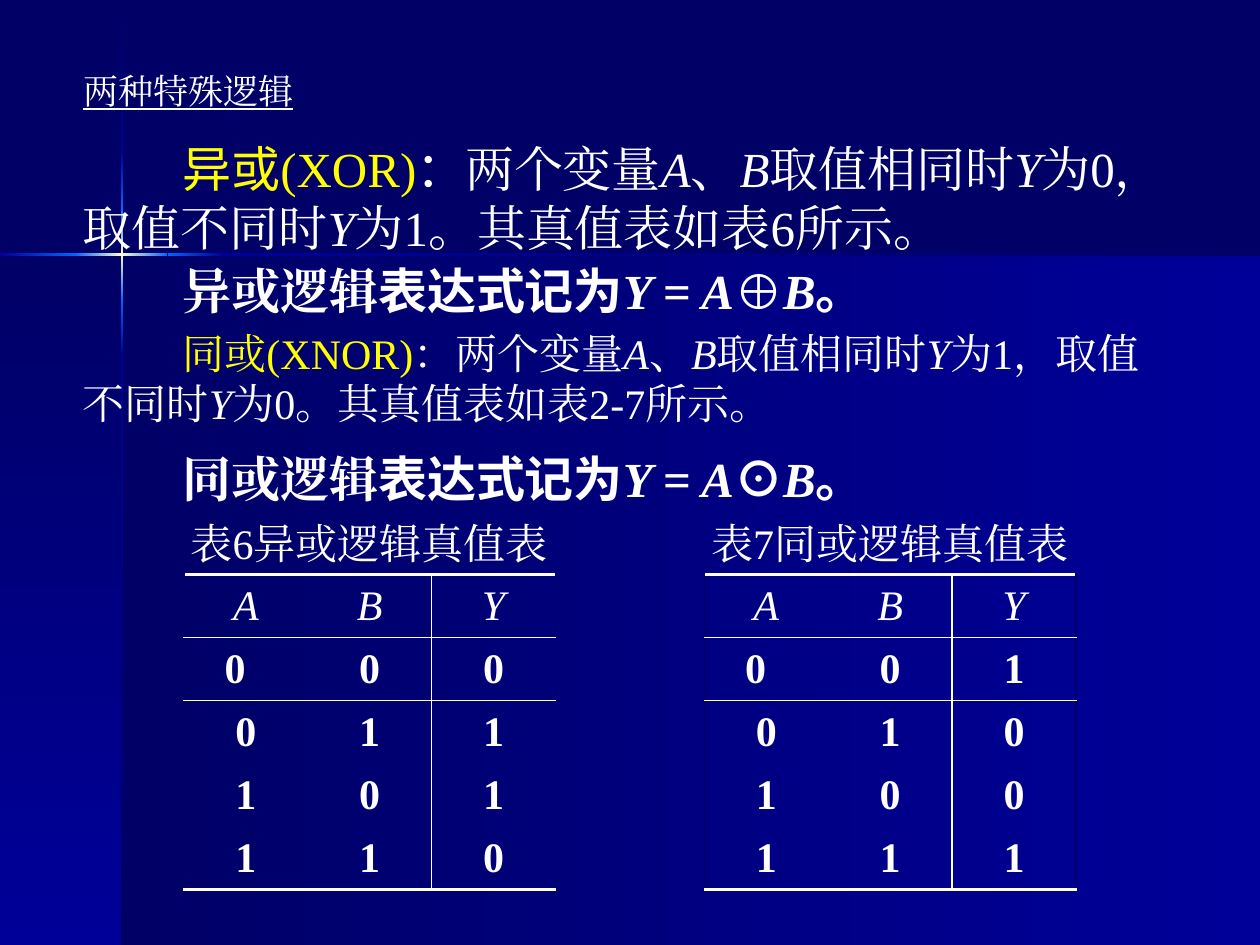
"""Builds a slide on the XOR and XNOR functions with their truth tables."""
from copy import deepcopy

from lxml import etree
from pptx import Presentation
from pptx import util as u
from pptx.dml import color
from pptx.enum import shapes, text
from pptx.oxml import ns

NAVY, BLUE, AZURE, CREAM = "000066", "000099", "0066FF", "FFFFCC"
WHITE, YELLOW = "FFFFFF", "FFFF00"
TIMES, COMIC, NOTO = "Times New Roman", "Comic Neue", "Noto Sans CJK SC"
rgb = color.RGBColor.from_string


def add_runs(p, marked, hue=WHITE, face=TIMES, **fmt):
    """Adds runs to a paragraph; parts between asterisks are italic."""
    for i, part in enumerate(marked.split("*")):
        if part:
            r = p.add_run()
            r.text = part
            values = dict(fmt, name=face, italic=i % 2 == 1)
            for key, value in values.items():
                setattr(r.font, key, value)
            r.font.color.rgb = rgb(hue)
            ea = etree.SubElement(r.font._element, ns.qn("a:ea"))
            ea.set("typeface", face)


def add_box(s, left, top, width, height):
    """Adds a wrapping text box and returns its first paragraph."""
    tf = s.shapes.add_textbox(*map(u.Inches, (left, top, width, height))).text_frame
    tf.word_wrap = True
    tf.auto_size = text.MSO_AUTO_SIZE.SHAPE_TO_FIT_TEXT
    return tf.paragraphs[0]


prs = Presentation()
prs.slide_width, prs.slide_height = u.Inches(10), u.Inches(7.5)
s = prs.slides.add_slide(prs.slide_layouts[5])
s.background.fill.solid()
s.background.fill.fore_color.rgb = rgb(NAVY)

glow = [AZURE, CREAM, AZURE]
panels = [
    (0.97, 2.02, 9.03, 5.48, 0, [NAVY, BLUE]),
    (0, 2.02, 0.97, 5.48, 270, [NAVY, BLUE]),
]
columns = [(0.01, 1.21, [NAVY, BLUE]), (1.21, 1.65, [BLUE, AZURE]), (1.65, 2.38, glow),
           (2.38, 2.82, [AZURE, BLUE]), (2.82, 7.5, [BLUE, NAVY])]
bars = [(0, 0.6, [BLUE, AZURE]), (0.6, 1.33, glow),
        (1.33, 1.77, [AZURE, BLUE]), (1.77, 10, [BLUE, NAVY])]
panels += [(0.96, a, 0.02, b - a, 270, hues) for a, b, hues in columns]
panels += [(a, 2.01, b - a, 0.02, 0, hues) for a, b, hues in bars]
for *place, angle, hues in panels:
    sp = s.shapes.add_shape(shapes.MSO_SHAPE.RECTANGLE, *map(u.Inches, place))
    sp.shadow.inherit = False
    sp.line.fill.background()
    sp.fill.gradient()
    sp.fill.gradient_angle = angle
    stops = sp._element.spPr.find(".//" + ns.qn("a:gsLst"))
    if len(hues) == 3:
        stops.insert(1, deepcopy(stops[0]))
    for i, (stop, hue) in enumerate(zip(sp.fill.gradient_stops, hues)):
        stop.position = i / (len(hues) - 1)
        stop.color.rgb = rgb(hue)

title = s.shapes.title
s.shapes._spTree.append(title._element)
title.left, title.top, title.width, title.height = map(u.Inches, (0.56, 0.5, 8.85, 0.44))
p = title.text_frame.paragraphs[0]
p.alignment = text.PP_ALIGN.LEFT
add_runs(p, "两种特殊逻辑", size=u.Pt(20), underline=True)

body = [
    (2.02, 0.57, 28, True, [
        ("异或逻辑",), ("表达式记为", WHITE, COMIC), ("*Y *=* A*⊕*B*",), ("。", WHITE, COMIC)]),
    (1.05, 1.04, 28, False, [
        ("异或", YELLOW, COMIC), ("(XOR)", YELLOW), ("：", WHITE, COMIC),
        ("两个变量*A*、*B*取值相同时*Y*为0，取值不同时*Y*为1。其真值表如表6所示。",)]),
    (2.55, 1.31, 24, False, [
        ("同或(XNOR)", YELLOW),
        ("：两个变量*A*、*B*取值相同时*Y*为1，取值不同时*Y*为0。其真值表如表2-7所示。",)]),
    (3.51, 0.57, 28, True, [
        ("同或逻辑",), ("表达式记为", WHITE, COMIC), ("*Y *=* A*",), ("⊙", WHITE, NOTO),
        ("*B*",), ("。", WHITE, COMIC)]),
]
for top, height, size, bold, runs in body:
    p = add_box(s, 0.56, top, 8.85, height)
    p._p.get_or_add_pPr().set("indent", str(u.Inches(0.79)))
    for run in runs:
        add_runs(p, *run, size=u.Pt(size), bold=bold)

inputs = ["00", "01", "10", "11"]
tables = [(1.46, "表6异或逻辑真值表", "0110"), (5.59, "表7同或逻辑真值表", "1001")]
for left, caption, outputs in tables:
    tbl = s.shapes.add_table(5, 3, *map(u.Inches, (left, 4.56, 2.95, 2.5))).table
    tbl._tbl.tblPr.find(ns.qn("a:tableStyleId")).text = "{2D5ABB26-0587-4C30-8999-92F81FD0307C}"
    tbl.horz_banding = False
    rows = ["ABY"] + [a + y for a, y in zip(inputs, outputs)]
    for i, row in enumerate(rows):
        for j, value in enumerate(row):
            cell = tbl.cell(i, j)
            cell.fill.background()
            cell.vertical_anchor = text.MSO_ANCHOR.MIDDLE
            p = cell.text_frame.paragraphs[0]
            p.alignment = text.PP_ALIGN.CENTER
            add_runs(p, value if i else f"*{value}*", size=u.Pt(24), bold=i > 0)
            edges = {
                "L": {0: (NAVY, 1), 2: (WHITE, 1)}.get(j),
                "R": {1: (WHITE, 1), 2: (NAVY, 1)}.get(j),
                "T": {0: (WHITE, 2.25), 1: (WHITE, 1)}.get(i),
                "B": {0: (WHITE, 1), 4: (WHITE, 2.25)}.get(i),
            }
            borders = [(side, edge) for side, edge in edges.items() if edge]
            for k, (side, (hue, width)) in enumerate(borders):
                ln = etree.Element(ns.qn("a:ln" + side), w=str(u.Pt(width)))
                fill = etree.SubElement(ln, ns.qn("a:solidFill"))
                etree.SubElement(fill, ns.qn("a:srgbClr"), val=hue)
                cell._tc.tcPr.insert(k, ln)
    tbl.cell(1, 0).margin_right = u.Inches(0.27)
    p = add_box(s, left - 0.24, 4.06, 3.42, 0.5)
    p.alignment = text.PP_ALIGN.CENTER
    add_runs(p, caption, size=u.Pt(24))

prs.save("out.pptx")
